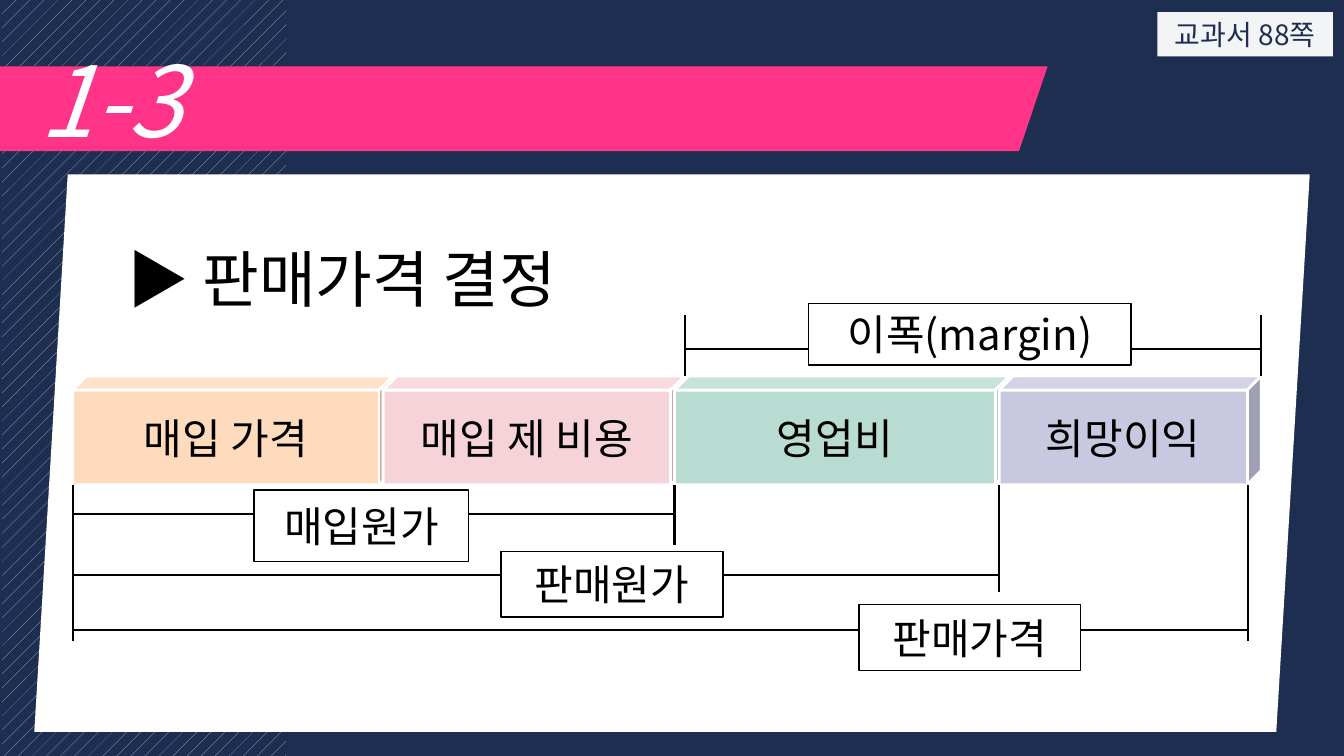
import pptx
import pptx.util
import pptx.dml.color
import pptx.enum.dml
import pptx.enum.shapes
import pptx.enum.text
import lxml.etree
import pptx.oxml.ns

Inches = pptx.util.Inches
Pt = pptx.util.Pt
RGBColor = pptx.dml.color.RGBColor
MSO_SHAPE = pptx.enum.shapes.MSO_SHAPE
PP_ALIGN = pptx.enum.text.PP_ALIGN
MSO_ANCHOR = pptx.enum.text.MSO_ANCHOR
qn = pptx.oxml.ns.qn

FONT = "Noto Sans CJK KR"
NAVY = RGBColor(0x1E, 0x2E, 0x50)
GREY = RGBColor(0xAD, 0xB9, 0xCA)
PINK = RGBColor(0xFF, 0x33, 0x88)
WHITE = RGBColor(0xFF, 0xFF, 0xFF)
BLACK = RGBColor(0x00, 0x00, 0x00)
PEACH = RGBColor(0xFE, 0xDB, 0xBC)
ROSE = RGBColor(0xF5, 0xD3, 0xD8)
MINT = RGBColor(0xB8, 0xDB, 0xD2)
LILAC = RGBColor(0xC8, 0xC8, 0xE1)


def add_box(shapes, kind, x, y, w, h, fill, line=None, width=1):
    sp = shapes.add_shape(kind, Inches(x), Inches(y), Inches(w), Inches(h))
    sp.shadow.inherit = False
    sp.fill.solid()
    sp.fill.fore_color.rgb = fill
    if line is None:
        sp.line.fill.background()
    else:
        sp.line.color.rgb = line
        sp.line.width = Pt(width)
    return sp


def set_text(sp, text, size, color, align=PP_ALIGN.CENTER, anchor=MSO_ANCHOR.MIDDLE):
    tf = sp.text_frame
    tf.text = text
    tf.word_wrap = True
    tf.vertical_anchor = anchor
    p = tf.paragraphs[0]
    p.alignment = align
    r = p.runs[0]
    r.font.size = Pt(size)
    r.font.color.rgb = color
    r.font.name = FONT
    lxml.etree.SubElement(r.font._element, qn("a:ea")).set("typeface", FONT)
    return p


prs = pptx.Presentation()
prs.slide_width = Inches(13.33)
prs.slide_height = Inches(7.5)
s = prs.slides.add_slide(prs.slide_layouts[5])
s.background.fill.solid()
s.background.fill.fore_color.rgb = NAVY

stripes = add_box(s.shapes, MSO_SHAPE.RECTANGLE, 0.02, 0, 2.82, 7.5, NAVY)
stripes.fill.patterned()
stripes.fill.pattern = pptx.enum.dml.MSO_PATTERN.PERCENT_5
stripes.fill.fore_color.rgb = GREY
stripes.fill.back_color.rgb = NAVY

banner = add_box(s.shapes, MSO_SHAPE.PARALLELOGRAM, -0.35, 0.66, 10.74, 0.84, PINK)
banner.adjustments[0] = 0.337
number = s.shapes.add_textbox(Inches(0.29), Inches(0.34), Inches(11.84), Inches(1.28))
p = set_text(number, "1-3", 70, WHITE, PP_ALIGN.LEFT, MSO_ANCHOR.TOP)
p.runs[0].font.italic = True

panel = add_box(s.shapes, MSO_SHAPE.PARALLELOGRAM, 0.34, 1.73, 12.65, 5.53, WHITE)
panel.adjustments[0] = 0.06

page = add_box(s.shapes, MSO_SHAPE.RECTANGLE, 11.48, 0.12, 1.74, 0.44, WHITE)
clr = page.fill._xPr.find(qn("a:solidFill"))[0]
lxml.etree.SubElement(clr, qn("a:alpha")).set("val", "95000")
set_text(page, "교과서 88쪽", 20, NAVY)
page.text_frame.margin_left = page.text_frame.margin_right = 0

title = s.shapes.title
s.shapes.element.append(title.element)
title.left, title.top = Inches(1.16), Inches(2.01)
title.width, title.height = Inches(10.32), Inches(1.12)
p = set_text(title, "▶ 판매가격 결정", 44, BLACK, PP_ALIGN.LEFT)
p.line_spacing = 1.5
title.text_frame.auto_size = pptx.enum.text.MSO_AUTO_SIZE.NONE

diagram = s.shapes.add_group_shape().shapes
BAR_TOP, BAR_H, DEPTH = 3.73, 1.08, 0.1
BAR_BOTTOM = BAR_TOP + BAR_H
edges = [0.72, 3.8, 6.69, 9.91, 12.41]
parts = [("매입 가격", PEACH), ("매입 제 비용", ROSE), ("영업비", MINT), ("희망이익", LILAC)]
for (name, color), x, end in zip(parts, edges, edges[1:]):
    cube = add_box(diagram, MSO_SHAPE.CUBE, x, BAR_TOP, end - x + DEPTH, BAR_H, color, WHITE, 2)
    cube.adjustments[0] = 0.13
    set_text(cube, name, 30, BLACK)

START, COST, SALE, PRICE = 0.72, 6.69, 9.91, 12.38
MARGIN_L, MARGIN_R = 6.79, 12.51
ticks = [(START, BAR_BOTTOM, 6.36), (PRICE, BAR_BOTTOM, 6.36), (COST, BAR_BOTTOM, 5.41),
         (SALE, BAR_BOTTOM, 5.87), (MARGIN_L, 3.13, BAR_TOP), (MARGIN_R, 3.13, BAR_TOP)]
spans = [(START, COST, 5.1), (START, SALE, 5.7), (START, PRICE, 6.25), (MARGIN_L, MARGIN_R, 3.46)]
lines = [(x, top, x, bottom) for x, top, bottom in ticks]
lines += [(left, y, right, y) for left, right, y in spans]
for ends in lines:
    cn = diagram.add_connector(pptx.enum.shapes.MSO_CONNECTOR.STRAIGHT, *map(Inches, ends))
    cn.line.color.rgb = BLACK
    cn.line.width = Pt(1.5)
    lxml.etree.SubElement(cn.element.spPr, qn("a:effectLst"))

labels = [("이폭(margin)", 8.02, 3.01, 3.2, 0.61), ("매입원가", 2.52, 4.86, 2.13, 0.71),
          ("판매원가", 4.97, 5.47, 2.2, 0.65), ("판매가격", 8.52, 6, 2.2, 0.65)]
for name, x, y, w, h in labels:
    set_text(add_box(diagram, MSO_SHAPE.RECTANGLE, x, y, w, h, WHITE, BLACK), name, 30, BLACK)

prs.save("out.pptx")
